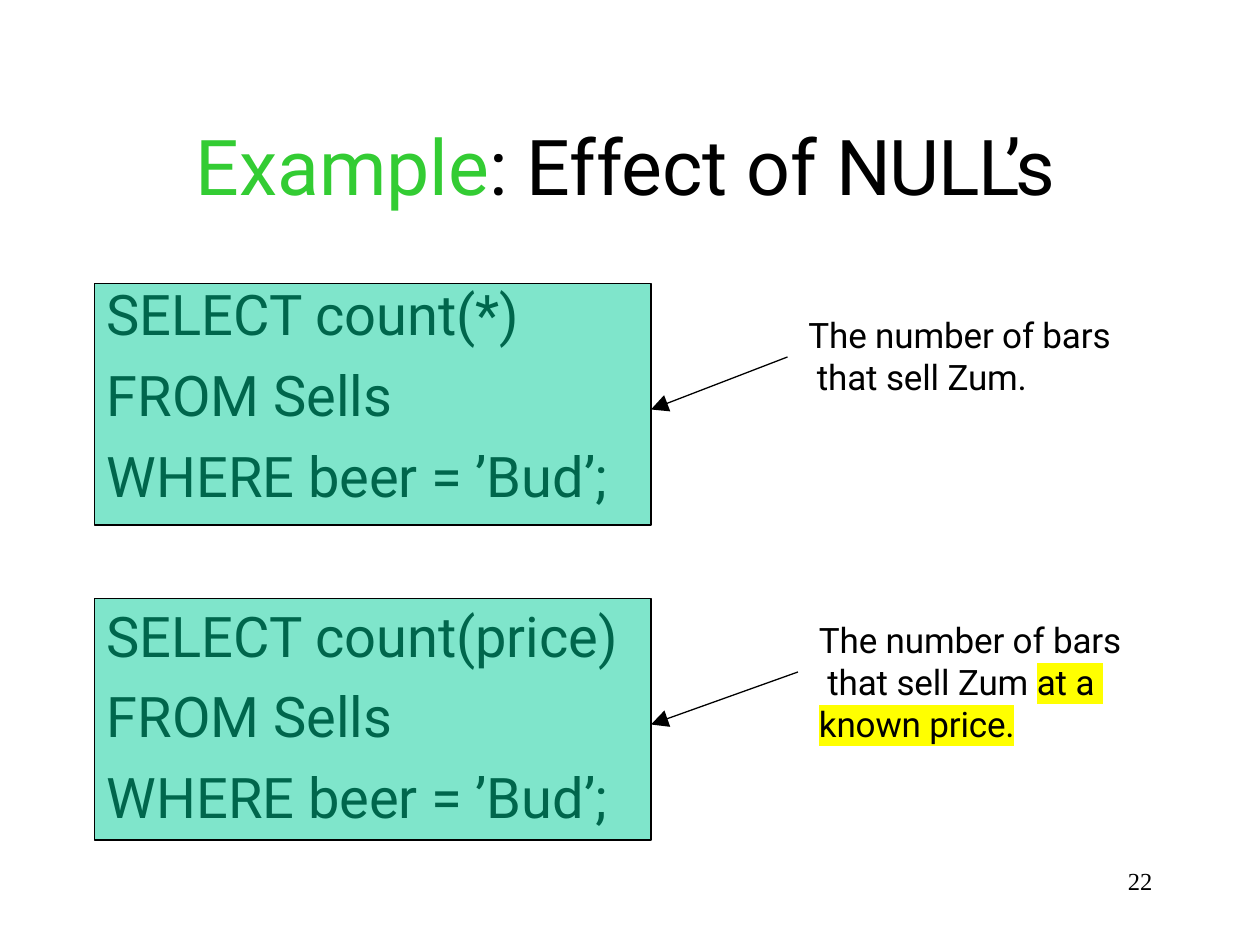
from lxml import etree
from pptx import Presentation
from pptx.dml.color import RGBColor
from pptx.enum.shapes import MSO_CONNECTOR, MSO_SHAPE
from pptx.enum.text import MSO_ANCHOR, MSO_AUTO_SIZE, PP_ALIGN
from pptx.oxml.ns import qn
from pptx.util import Pt

BLACK = RGBColor(0x00, 0x00, 0x00)
GREEN = RGBColor(0x33, 0xCC, 0x33)
TEAL = RGBColor(0x00, 0xCC, 0x99)
YELLOW = RGBColor(0xFF, 0xFF, 0x00)

TOP = MSO_ANCHOR.TOP
LEFT = PP_ALIGN.LEFT
NO_AUTO_SIZE = MSO_AUTO_SIZE.NONE
RECTANGLE = MSO_SHAPE.RECTANGLE
STRAIGHT = MSO_CONNECTOR.STRAIGHT

SANS = "Roboto"
SERIF = "Times New Roman"
TITLE_LAYOUT = 5
PANEL_LEFT, PANEL_WIDTH, PANEL_HEIGHT = 54, 318, 138
ARROW_DROP = 72


def prepare_frame(shape, top_inset=0):
    frame = shape.text_frame
    frame.margin_left = frame.margin_right = frame.margin_bottom = 0
    frame.margin_top = Pt(top_inset)
    frame.word_wrap = True
    frame.auto_size = NO_AUTO_SIZE
    frame.vertical_anchor = TOP
    return frame


def add_text_box(slide, left, top, width, height, top_inset=0):
    box = slide.shapes.add_textbox(Pt(left), Pt(top), Pt(width), Pt(height))
    return prepare_frame(box, top_inset)


def add_run(paragraph, text, size, color=BLACK, font=SANS, tracking=-0.1):
    run = paragraph.add_run()
    run.text = text
    run.font.size = Pt(size)
    run.font.name = font
    run.font.color.rgb = color
    run._r.get_or_add_rPr().set("spc", str(round(tracking * 100)))
    return run


def highlight(run):
    properties = run._r.get_or_add_rPr()
    marker = etree.Element(qn("a:highlight"))
    etree.SubElement(marker, qn("a:srgbClr"), val=str(YELLOW))
    properties.find(qn("a:solidFill")).addnext(marker)


def fill_title(slide):
    title = slide.shapes.title
    title.left, title.top = Pt(112), Pt(65.5)
    title.width, title.height = Pt(497), Pt(55)
    paragraph = prepare_frame(title, 2).paragraphs[0]
    paragraph.alignment = LEFT
    add_run(paragraph, "Example", 44, GREEN)
    add_run(paragraph, ": Effect of ", 44)
    add_run(paragraph, "NULL’s", 44, tracking=-0.8)


def add_query(slide, top, lines):
    frame = add_text_box(slide, 61, top, 302, 131)
    for index, line in enumerate(lines):
        paragraph = frame.add_paragraph() if index else frame.paragraphs[0]
        if index:
            paragraph.space_before = Pt(7.7)
        add_run(paragraph, line, 32, tracking=-0.05)


def add_panel(slide, top):
    panel = slide.shapes.add_shape(
        RECTANGLE, Pt(PANEL_LEFT), Pt(top), Pt(PANEL_WIDTH), Pt(PANEL_HEIGHT))
    panel.shadow.inherit = False
    panel.fill.solid()
    panel.fill.fore_color.rgb = TEAL
    color = panel.fill._xPr.find(qn("a:solidFill"))[0]
    etree.SubElement(color, qn("a:alpha"), val="50000")
    panel.line.color.rgb = BLACK
    panel.line.width = Pt(0.75)


def add_arrow(slide, start_x, start_y, end_x, end_y):
    arrow = slide.shapes.add_connector(
        STRAIGHT, Pt(start_x), Pt(start_y), Pt(end_x), Pt(end_y))
    arrow.line.color.rgb = BLACK
    arrow.line.width = Pt(0.75)
    etree.SubElement(
        arrow.line._get_or_add_ln(), qn("a:tailEnd"), type="triangle", w="lg", len="lg")
    etree.SubElement(arrow._element.spPr, qn("a:effectLst"))


def add_note(slide, left, top, lines):
    frame = add_text_box(slide, left, top, 180, 25 * len(lines), 2)
    paragraph = frame.paragraphs[0]
    for index, line in enumerate(lines):
        if index:
            paragraph.add_line_break()
        for text, marked in line:
            run = add_run(paragraph, text, 20)
            if marked:
                highlight(run)


def add_page_number(slide):
    frame = add_text_box(slide, 644.5, 495.5, 18, 17)
    paragraph = frame.paragraphs[0]
    paragraph.line_spacing = Pt(16.3)
    add_run(paragraph, "22", 14, font=SERIF, tracking=0)


def main():
    presentation = Presentation()
    presentation.slide_width, presentation.slide_height = Pt(720), Pt(540)
    slide = presentation.slides.add_slide(presentation.slide_layouts[TITLE_LAYOUT])
    fill_title(slide)

    first_line = [("The number of bars", False)]
    examples = [
        (162, 160, "count(*)", 450, (462, 177),
         [first_line, [(" that sell Zum.", False)]]),
        (342, 343.5, "count(price)", 456, (468, 351.5),
         [first_line,
          [(" that sell Zum ", False), ("at a ", True)],
          [("known price.", True)]]),
    ]
    for panel_top, query_top, count, arrow_x, note_place, note_lines in examples:
        add_query(slide, query_top,
                  [f"SELECT {count}", "FROM Sells", "WHERE beer = ’Bud’;"])
        add_panel(slide, panel_top)
        add_note(slide, *note_place, note_lines)
        tip_y = panel_top + ARROW_DROP
        add_arrow(slide, arrow_x, tip_y - 30, PANEL_LEFT + PANEL_WIDTH, tip_y)

    add_page_number(slide)
    presentation.save("out.pptx")


if __name__ == "__main__":
    main()
